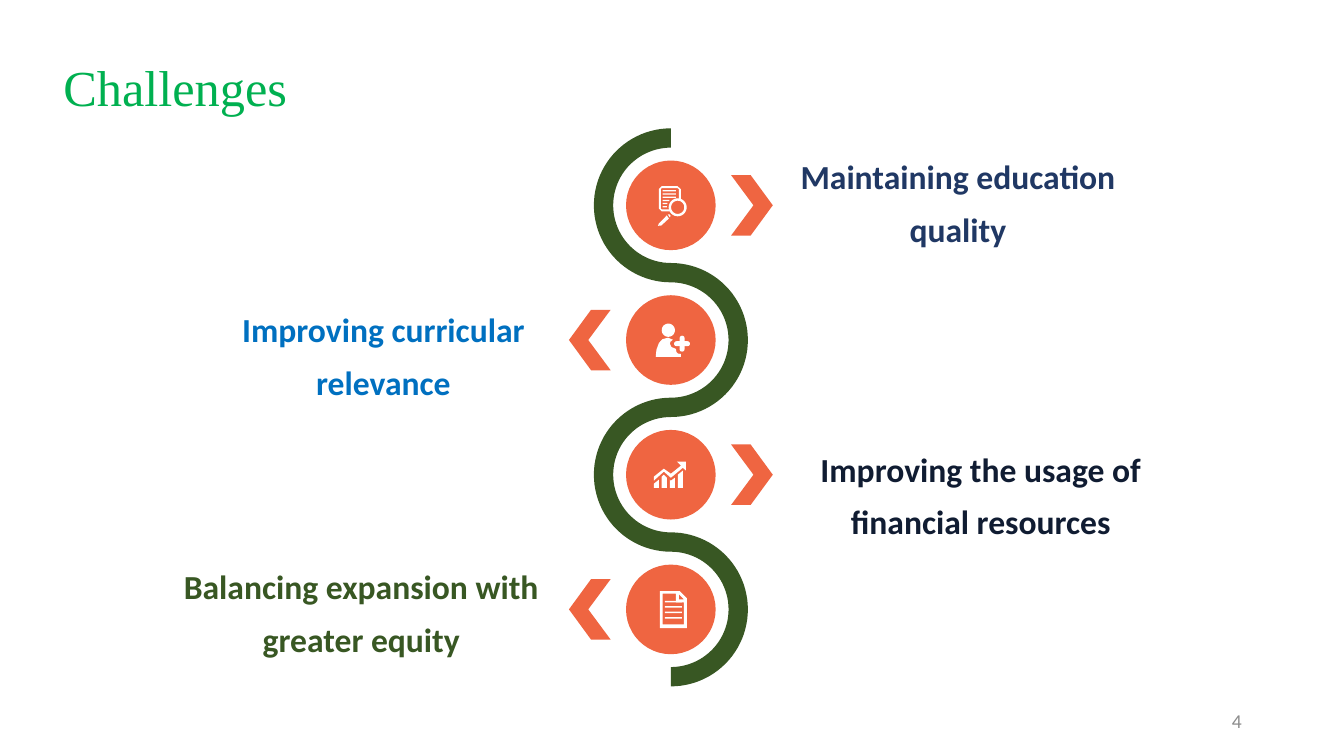
from dataclasses import dataclass
from math import cos, pi, sin

from pptx import Presentation
from pptx.dml import color
from pptx.enum import shapes, text
from pptx.util import Pt

HUES = {"green": "385723", "coral": "EF6541", "white": "FFFFFF", "title": "00B050",
        "grey": "8C8C8C", "navy": "203864", "blue": "0070C0", "ink": "101C32"}
MID, TOP, STEP = 479.2, 146.7, 96.2  # disc centres: x, first y, spacing
WIDE, THIN, DISC = 55, 41.2, 32      # band radii and disc radius
KIND = shapes.MSO_SHAPE
Points = list[tuple[float, float]]


@dataclass
class Label:
    lines: list[str]
    left: float
    top: float
    width: float
    height: float
    hue: str
    size: float = 24
    face: str = "Calibri"
    bold: bool = False
    align: text.PP_ALIGN = text.PP_ALIGN.CENTER
    anchor: text.MSO_ANCHOR = text.MSO_ANCHOR.TOP
    space: float = 1.3


@dataclass
class Form:
    """A filled outline, relative to its disc centre."""
    rings: list[Points]


@dataclass
class Bar:
    """A preset shape, relative to its disc centre."""
    left: float
    top: float
    width: float
    height: float
    kind: shapes.MSO_SHAPE = KIND.RECTANGLE


deck = Presentation()
deck.slide_width, deck.slide_height = Pt(960), Pt(540)
slide = deck.slides.add_slide(deck.slide_layouts[6])


def paint(shape, hue: str) -> None:
    shape.fill.solid()
    shape.fill.fore_color.rgb = color.RGBColor.from_string(HUES[hue])
    shape.line.fill.background()
    shape.shadow.inherit = False


def draw(part: Form | Bar, row: int, hue: str) -> None:
    mid = TOP + row * STEP
    if isinstance(part, Bar):
        shape = slide.shapes.add_shape(part.kind, Pt(MID + part.left), Pt(mid + part.top),
                                       Pt(part.width), Pt(part.height))
        if part.kind == KIND.ROUNDED_RECTANGLE:
            shape.adjustments[0] = 0.5
    else:
        rings = [[(Pt(MID + x), Pt(mid + y)) for x, y in ring] for ring in part.rings]
        pen = slide.shapes.build_freeform(*rings[0][0], scale=1.0)
        for ring in rings:
            if ring is not rings[0]:
                pen.move_to(*ring[0])
            pen.add_line_segments(ring[1:], close=True)
        shape = pen.convert_to_shape()
    paint(shape, hue)


def arc(x: float, y: float, size: float, side: int = 1, sweep: float = pi,
        count: int = 48) -> Points:
    """Points from the top of a circle downwards, on the given side."""
    turns = [sweep * i / count for i in range(count + 1)]
    return [(x + side * size * sin(t), y - size * cos(t)) for t in turns]


def ring(x: float, y: float, size: float) -> Points:
    return arc(x, y, size, sweep=2 * pi)[:-1]


def box(left: float, top: float, right: float, base: float) -> Points:
    return [(left, top), (right, top), (right, base), (left, base)]


def write(label: Label) -> None:
    frame = slide.shapes.add_textbox(Pt(label.left), Pt(label.top), Pt(label.width),
                                     Pt(label.height)).text_frame
    frame.word_wrap = True
    frame.vertical_anchor = label.anchor
    frame.text = "\n".join(label.lines)
    for para in frame.paragraphs:
        para.alignment, para.line_spacing = label.align, label.space
        font = para.font
        font.name, font.size, font.bold = label.face, Pt(label.size), label.bold
        font.color.rgb = color.RGBColor.from_string(HUES[label.hue])


# Winding band: down one edge and back up the other
down, back = [], []
for row in range(4):
    side = row % 2 * 2 - 1
    sizes = (THIN, WIDE) if row % 2 else (WIDE, THIN)
    down += arc(0, row * STEP, sizes[0], side)
    back += arc(0, row * STEP, sizes[1], side)
draw(Form([down + back[::-1]]), 0, "green")

# Discs and chevrons
for row in range(4):
    draw(Bar(-DISC, -DISC, 2 * DISC, 2 * DISC, KIND.OVAL), row, "coral")
    side = 1 - row % 2 * 2
    tips = [(43, -21.6), (59, 0), (43, 21.6), (57, 21.6), (72.8, 0), (57, -21.6)]
    draw(Form([[(side * x, y) for x, y in tips]]), row, "coral")

# Icons, one list for each disc
sheet = [(-0.5, 4.3), (-6.5, 4.3), (-8.6, 2.2), (-8.6, -11.7), (-6.5, -13.7),
         (4.8, -13.7), (7.2, -11.5), (7.2, -4.3), (5.8, -4.3), (5.8, -11.5),
         (4.8, -12.3), (-6.5, -12.3), (-7.2, -11.5), (-7.2, 2.2), (-6.5, 2.9), (-1, 2.9)]
ends = [3.6, 3.6, 3.6, -1, -2.5, -2.9]
rules = [box(-5.8, -10.9 + 2.3 * i, end, -10 + 2.3 * i) for i, end in enumerate(ends)]
lens = [ring(4.9, 1.4, 6.4), ring(4.9, 1.4, 4.7)]
pencil = [[(-2.2, 6.5), (-0.9, 6.4), (-0.2, 7.4), (-0.7, 8.6)],
          [(-8.6, 13), (-9.2, 14.6), (-6.8, 14.4), (-1.4, 9.4), (-2.9, 7.2)]]
body = [(-10.8, 12), (-10.3, 7), (-8.5, 2), (-6, -0.6), (-2, -1.7), (1.4, -0.2),
        (-0.3, 1.2), (-0.7, 2.6), (0.4, 5), (3.6, 6.3), (4, 8.7), (5, 9.6),
        (7.2, 10), (7.2, 12)]
bars = [[(-6.5, 1.4), (-6.5, 9.4), (-2.9, 9.4), (-2.9, 2.2), (-5, 0)],
        [(-12.2, 9.4), (-8.6, 9.4), (-8.6, 3.6), (-12.2, 6.5)],
        [(5, 0), (5, 9.4), (8.6, 9.4), (8.6, -2.9)],
        [(-0.7, 3.6), (-0.7, 9.4), (2.9, 9.4), (2.9, 2.2), (0, 4.3)]]
trend = [(10.8, -9.4), (4.3, -9.4), (7.2, -6.5), (0, -0.7), (-5, -4.3), (-12.2, 1.4),
         (-12.2, 4.3), (-5, -2.2), (0, 2.2), (8.6, -5), (10.8, -2.9)]
page = [[(11.5, -7.9), (6.5, -13), (-7.9, -13), (-7.9, 13.3), (11.5, 13.3)],
        [(9.4, -7.2), (5.8, -7.2), (5.8, -10.8)],
        [(9.4, 10.8), (-5.8, 10.8), (-5.8, -11.2), (3.6, -11.2), (3.6, -5), (9.4, -5)]]
ROUND = KIND.ROUNDED_RECTANGLE
icons = [
    [Form([sheet]), Form(rules), Form(lens), Form(pencil)],
    [Form([ring(-1.8, -7, 4.7)]), Form([body]),
     Bar(2.3, 0.8, 11.4, 3.6, ROUND), Bar(6.2, -3.1, 3.6, 11.4, ROUND)],
    [Form(bars), Form([trend])],
    [Form(page)] + [Bar(-4.2, -6.2 + 3.9 * i, 12.2, 1.1) for i in range(4)],
]
for row, parts in enumerate(icons):
    for part in parts:
        draw(part, row, "white")

# Title, challenges and page number
MIDDLE = text.MSO_ANCHOR.MIDDLE
labels = [
    Label(["Challenges"], 38.2, 12.2, 828, 104.4, "title", 36, "Times New Roman",
          align=text.PP_ALIGN.LEFT, anchor=MIDDLE, space=0.9),
    Label(["Maintaining education quality"], 534.2, 99.4, 300.2, 98.6, "navy", bold=True),
    Label(["Improving curricular", "relevance"], 123.8, 208.8, 300.2, 98.6, "blue",
          bold=True),
    Label(["Improving the usage of financial resources"], 547.9, 308.2, 305.3, 111.6,
          "ink", bold=True),
    Label(["Balancing expansion with greater equity"], 108, 392.4, 300.2, 98.6, "green",
          bold=True),
    Label(["4"], 678.2, 500.4, 216, 28.8, "grey", 14, align=text.PP_ALIGN.RIGHT,
          anchor=MIDDLE, space=1.0),
]
for label in labels:
    write(label)

deck.save("out.pptx")
